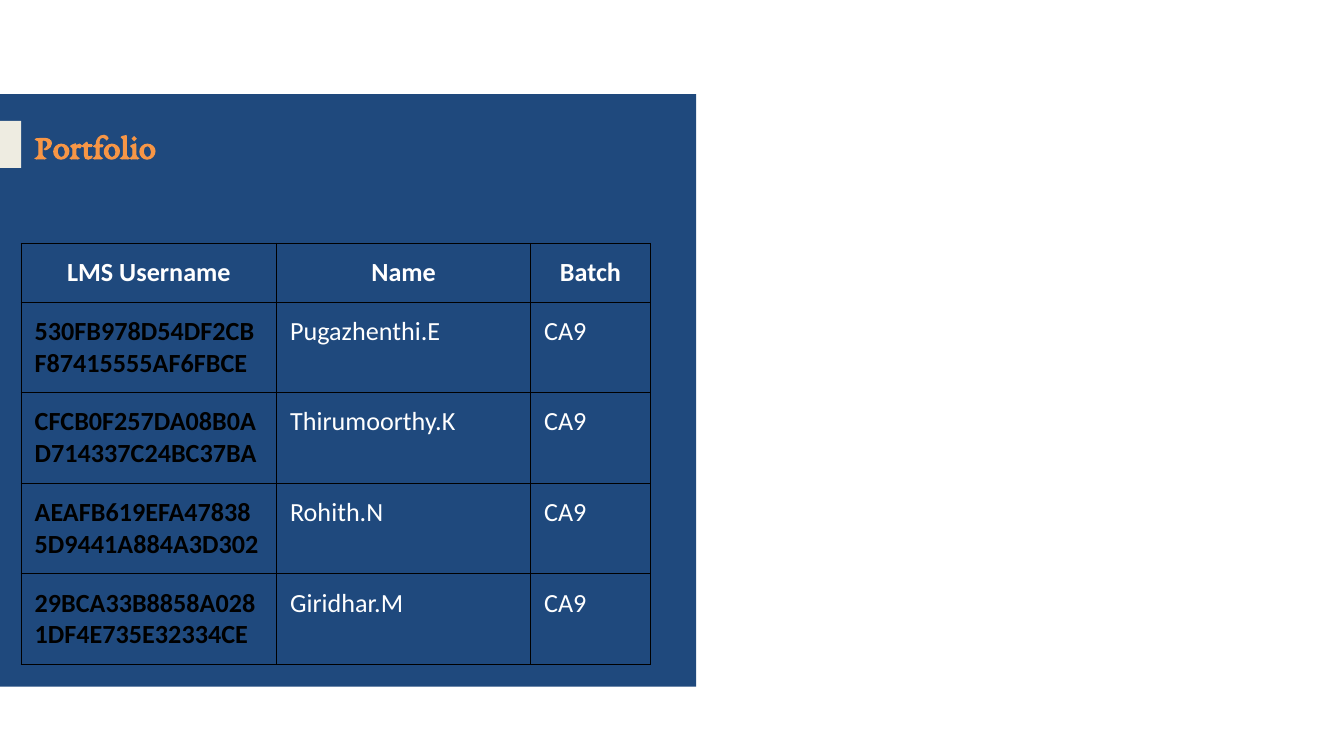
from lxml import etree
from pptx import Presentation
from pptx.dml.color import RGBColor
from pptx.enum.shapes import MSO_SHAPE
from pptx.enum.text import MSO_ANCHOR, PP_ALIGN
from pptx.oxml.ns import qn
from pptx.util import Pt

RECTANGLE = MSO_SHAPE.RECTANGLE
MIDDLE, TOP = MSO_ANCHOR.MIDDLE, MSO_ANCHOR.TOP
LEFT, CENTER = PP_ALIGN.LEFT, PP_ALIGN.CENTER

NAVY = RGBColor(0x1F, 0x49, 0x7D)
CREAM = RGBColor(0xEE, 0xEC, 0xE1)
ORANGE = RGBColor(0xF7, 0x96, 0x46)
WHITE = RGBColor(0xFF, 0xFF, 0xFF)
BLACK = RGBColor(0x00, 0x00, 0x00)

TITLE_FONT, TABLE_FONT = "EB Garamond", "Calibri"
TITLE_ONLY_LAYOUT = 5
MARGIN = Pt(7.2)
COLUMN_WIDTHS = (136.8, 136.1, 64.1)
HEADER_HEIGHT, ROW_HEIGHT = 31.2, 48.4

HEADERS = ("LMS Username", "Name", "Batch")
MEMBERS = (
    ("530FB978D54DF2CBF87415555AF6FBCE", "Pugazhenthi.E", "CA9"),
    ("CFCB0F257DA08B0AD714337C24BC37BA", "Thirumoorthy.K", "CA9"),
    ("AEAFB619EFA478385D9441A884A3D302", "Rohith.N", "CA9"),
    ("29BCA33B8858A0281DF4E735E32334CE", "Giridhar.M", "CA9"),
)


def add_rectangle(slide, left, top, width, height, color):
    shape = slide.shapes.add_shape(
        RECTANGLE, Pt(left), Pt(top), Pt(width), Pt(height))
    shape.shadow.inherit = False
    shape.fill.solid()
    shape.fill.fore_color.rgb = color
    shape.line.fill.background()


def add_text(paragraph, text, font_name, size, color, bold):
    run = paragraph.add_run()
    run.text = text
    run.font.name = font_name
    run.font.size = Pt(size)
    run.font.color.rgb = color
    run.font.bold = bold


def add_panel(slide, left, top, width, height):
    """Draw the navy panel and the cream tab beside the title."""
    add_rectangle(slide, left, top, width, height, NAVY)
    add_rectangle(slide, left, top + 14.4, 11.4, 25.2, CREAM)


def place_title(slide, left, top, width, height):
    title = slide.shapes.title
    title.element.getparent().append(title.element)  # in front of the panel
    title.left, title.top = Pt(left), Pt(top)
    title.width, title.height = Pt(width), Pt(height)
    frame = title.text_frame
    frame.vertical_anchor = MIDDLE
    frame.margin_left = frame.margin_right = MARGIN
    frame.margin_top = frame.margin_bottom = Pt(3.6)
    paragraph = frame.paragraphs[0]
    paragraph.alignment = LEFT
    add_text(paragraph, "Portfolio", TITLE_FONT, 18.3, ORANGE, True)


def set_borders(cell):
    properties = cell._tc.get_or_add_tcPr()
    for index, side in enumerate(("lnL", "lnR", "lnT", "lnB")):
        line = etree.Element(qn(f"a:{side}"), w=str(Pt(0.75)))
        fill = etree.SubElement(line, qn("a:solidFill"))
        etree.SubElement(fill, qn("a:srgbClr"), val=str(BLACK))
        properties.insert(index, line)


def fill_cell(cell, text, color, bold, alignment):
    cell.margin_left = cell.margin_right = MARGIN
    cell.margin_top = cell.margin_bottom = MARGIN
    cell.vertical_anchor = TOP
    cell.fill.background()
    set_borders(cell)
    paragraph = cell.text_frame.paragraphs[0]
    paragraph.alignment = alignment
    add_text(paragraph, text, TABLE_FONT, 14, color, bold)


def add_member_table(slide, left, top):
    height = HEADER_HEIGHT + ROW_HEIGHT * len(MEMBERS)
    table = slide.shapes.add_table(
        len(MEMBERS) + 1, len(HEADERS),
        Pt(left), Pt(top), Pt(sum(COLUMN_WIDTHS)), Pt(height)).table
    table.first_row = table.horz_banding = False
    for column, width in zip(table.columns, COLUMN_WIDTHS):
        column.width = Pt(width)
    for row_index, values in enumerate((HEADERS, *MEMBERS)):
        is_header = row_index == 0
        table.rows[row_index].height = Pt(
            HEADER_HEIGHT if is_header else ROW_HEIGHT)
        for column_index, text in enumerate(values):
            is_username = column_index == 0 and not is_header
            fill_cell(
                table.cell(row_index, column_index), text,
                color=BLACK if is_username else WHITE,
                bold=is_header or is_username,
                alignment=CENTER if is_header else LEFT)


def main():
    presentation = Presentation()
    presentation.slide_width, presentation.slide_height = Pt(720), Pt(405)
    layout = presentation.slide_layouts[TITLE_ONLY_LAYOUT]
    slide = presentation.slides.add_slide(layout)
    add_panel(slide, 0, 50.4, 373, 317.5)
    place_title(slide, 11.4, 64.1, 269.3, 27.4)
    add_member_table(slide, 11.4, 130.4)
    presentation.save("out.pptx")


if __name__ == "__main__":
    main()
